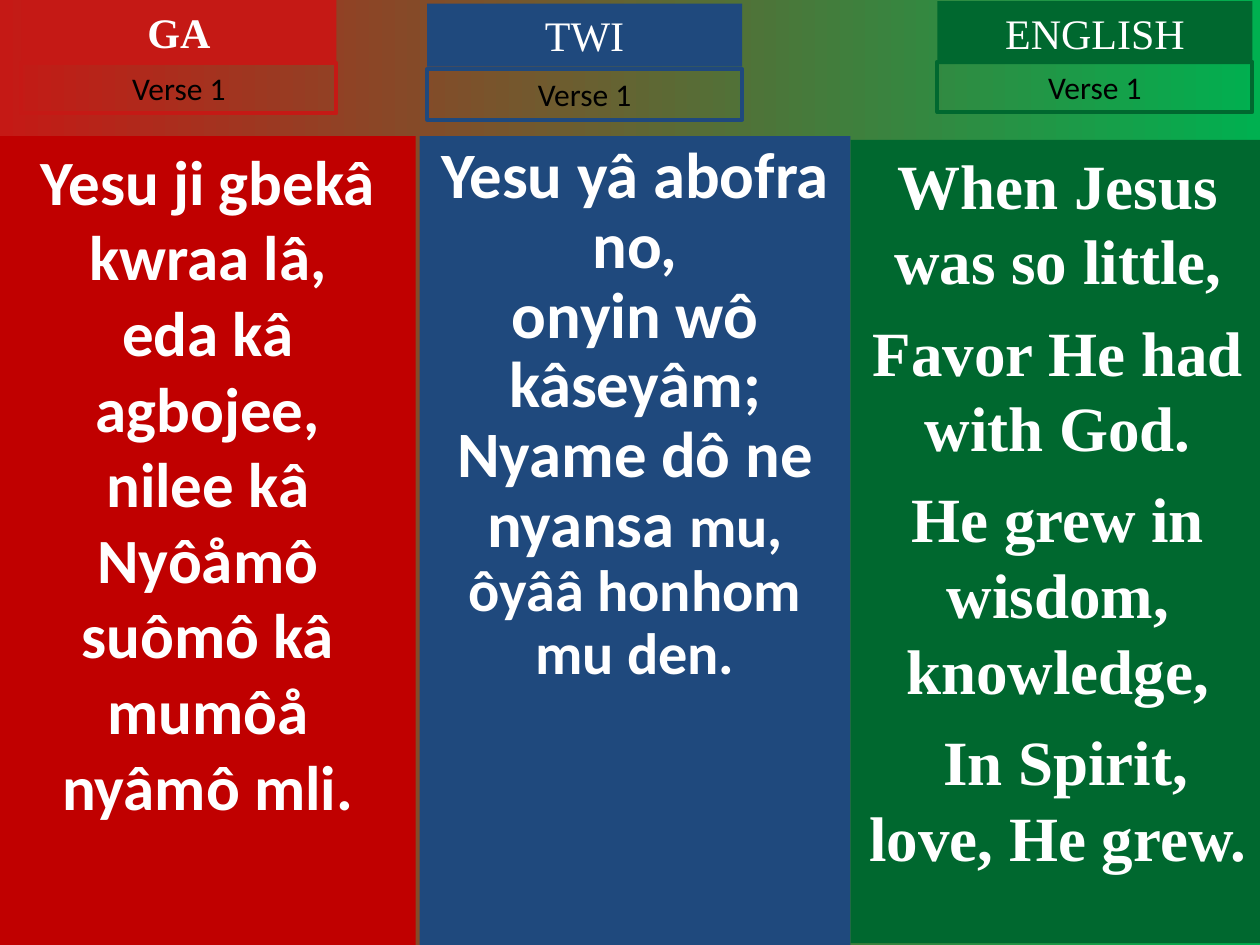
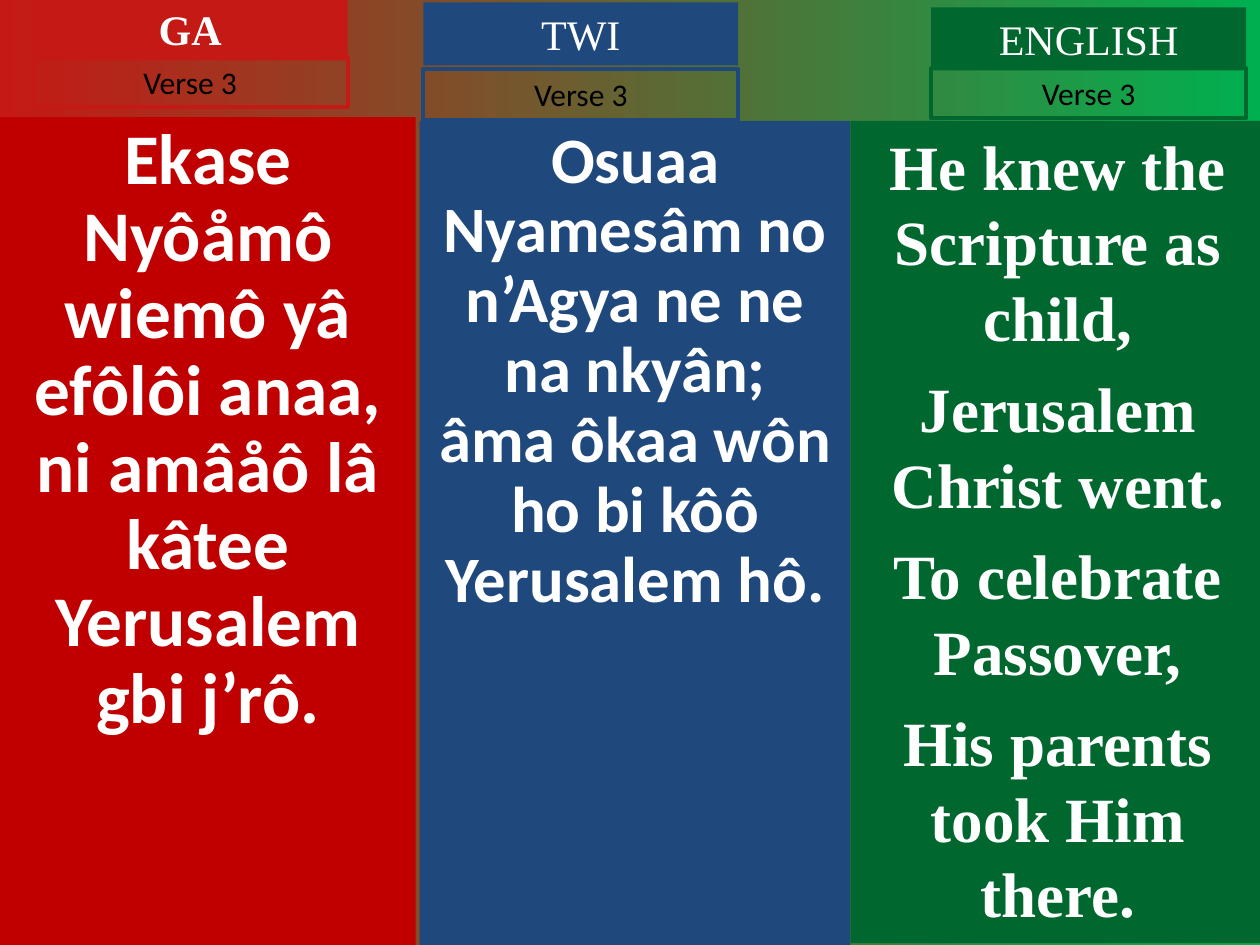
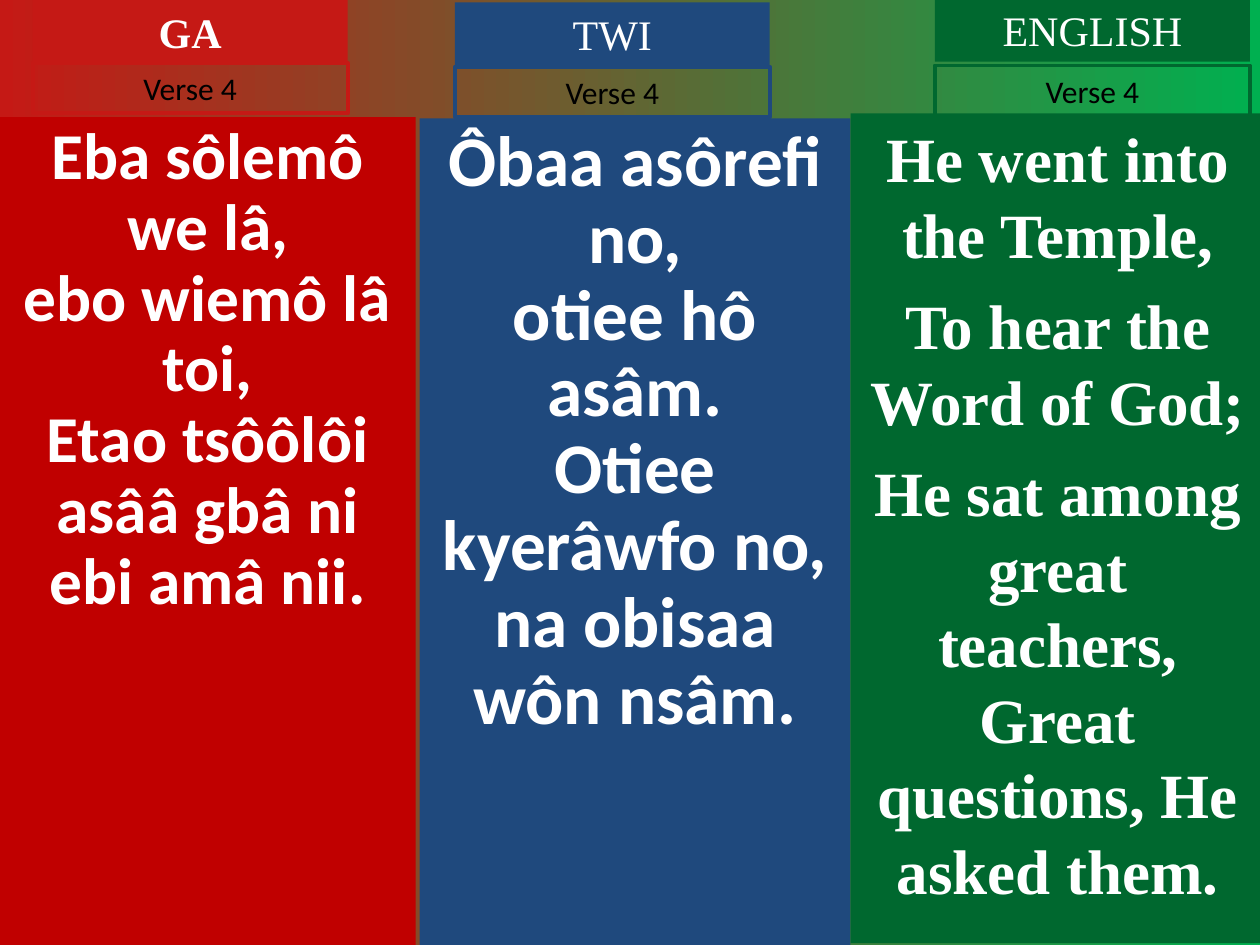
import pptx
import pptx.dml.color
import pptx.enum.shapes
import pptx.enum.text
import pptx.util

Pt = pptx.util.Pt

# Shared look
SLIDE_WIDTH, SLIDE_HEIGHT = 720, 540
HEADER_SIZE = (180, 36)
LABEL_SIZE = (180, 28.8)
WHITE, BLACK = "FFFFFF", "000000"
BACKGROUND = ("C51915", "00B050")
SANS, SERIF = "Calibri", "Times New Roman"

# One column per language
COLUMNS = [
    {"name": "GA", "left": 0, "width": 237.6, "bottom": 540, "fill": "C00000",
     "accent": "C51915", "font": SANS, "bold_header": True, "gap": 0},
    {"name": "TWI", "left": 239.76, "width": 246.24, "bottom": 540, "fill": "1F497D",
     "accent": "1F497D", "font": SANS, "bold_header": False, "gap": 0},
    {"name": "ENGLISH", "left": 486, "width": 236.88, "bottom": 539, "fill": "00682F",
     "accent": "00682F", "font": SERIF, "bold_header": False, "gap": 9},
]

# Per verse and column: header left, header top, label top, lyrics top,
# text size, line spacing, and lines; a line is a text or a list of (text, size)
VERSES = [
    ("Verse 1", [
        (12.24, 0, 36, 77.76, 36, 1, [
            "Yesu ji gbekâ kwraa lâ,",
            "eda kâ agbojee,",
            "nilee kâ Nyôåmô suômô kâ mumôå nyâmô mli."]),
        (244.08, 2.16, 39.6, 77.76, 37, 0.9, [
            "Yesu yâ abofra no,",
            "onyin wô kâseyâm;",
            [("Nyame dô ne nyansa ", 37), ("mu,", 33.3)],
            [("ôyââ honhom mu den.", 33.3)]]),
        (535.68, 0.72, 35.28, 79.92, 36, 1, [
            "When Jesus was so little,",
            "Favor He had with God.",
            "He grew in wisdom, knowledge,",
            " In Spirit, love, He grew."]),
    ]),
    ("Verse 3", [
        (18.72, -1.44, 32.4, 66.96, 40.7, 0.9, [
            "Ekase Nyôåmô wiemô yâ efôlôi anaa,",
            "ni amâåô lâ kâtee Yerusalem gbi j’rô."]),
        (241.92, 1.44, 39.6, 69.12, 37, 0.9, [
            "Osuaa Nyamesâm no n’Agya ne ne na nkyân;",
            "âma ôkaa wôn ho bi kôô Yerusalem hô."]),
        (532.08, 4.32, 38.88, 69.12, 36, 1, [
            "He knew the Scripture as child,",
            "Jerusalem Christ went.",
            "To celebrate Passover,",
            "His parents took Him there."]),
    ]),
    ("Verse 4", [
        (18.72, 0, 36, 66.96, 37.4, 0.9, [
            "Eba sôlemô we lâ,",
            "ebo wiemô lâ toi,",
            "Etao tsôôlôi asââ gbâ ni ebi amâ nii."]),
        (259.92, 1.44, 38.16, 67.68, 40.7, 0.9, [
            "Ôbaa asôrefi no,",
            "otiee hô asâm.",
            "Otiee kyerâwfo no,",
            "na obisaa wôn nsâm."]),
        (534.24, -0.72, 37.44, 64.8, 36, 1, [
            "He went into the Temple,",
            "To hear the Word of God;",
            "He sat among great teachers, Great questions, He asked them."]),
    ]),
]


def color(value):
    return pptx.dml.color.RGBColor.from_string(value)


def add_box(slide, left, top, width, height, fill=None, line=None):
    shape = slide.shapes.add_shape(pptx.enum.shapes.MSO_SHAPE.RECTANGLE,
                                   Pt(left), Pt(top), Pt(width), Pt(height))
    shape.shadow.inherit = False
    if fill:
        shape.fill.solid()
        shape.fill.fore_color.rgb = color(fill)
    else:
        shape.fill.background()
    if line:
        shape.line.color.rgb = color(line)
        shape.line.width = Pt(2.25)
    else:
        shape.line.fill.background()
    shape.text_frame.word_wrap = True
    shape.text_frame.vertical_anchor = pptx.enum.text.MSO_ANCHOR.TOP
    return shape


def write(shape, lines, font, size, text_color, bold=False, spacing=1, gap=0):
    frame = shape.text_frame
    for index, line in enumerate(lines):
        paragraph = frame.add_paragraph() if index else frame.paragraphs[0]
        paragraph.alignment = pptx.enum.text.PP_ALIGN.CENTER
        paragraph.line_spacing = spacing
        if index and gap:
            paragraph.space_before = Pt(gap)
        paragraph.font.name = font
        paragraph.font.size = Pt(size)
        paragraph.font.bold = bold
        paragraph.font.color.rgb = color(text_color)
        if isinstance(line, str):
            paragraph.add_run().text = line
        else:
            for text, run_size in line:
                run = paragraph.add_run()
                run.text = text
                run.font.size = Pt(run_size)


def add_column(slide, column, verse, part):
    header_left, header_top, label_top, top, size, spacing, lines = part
    lyrics = add_box(slide, column["left"], top, column["width"],
                     column["bottom"] - top, fill=column["fill"])
    write(lyrics, lines, column["font"], size, WHITE, True, spacing, column["gap"])
    header = add_box(slide, header_left, header_top, *HEADER_SIZE, fill=column["accent"])
    write(header, [column["name"]], SERIF, 24, WHITE, column["bold_header"])
    label = add_box(slide, header_left, label_top, *LABEL_SIZE, line=column["accent"])
    write(label, [verse], SANS, 18, BLACK)


def main():
    presentation = pptx.Presentation()
    presentation.slide_width = Pt(SLIDE_WIDTH)
    presentation.slide_height = Pt(SLIDE_HEIGHT)

    # Red to green background for all slides
    background = presentation.slide_master.background.fill
    background.gradient()
    background.gradient_angle = 0
    for stop, value in zip(background.gradient_stops, BACKGROUND):
        stop.color.rgb = color(value)

    blank = presentation.slide_layouts.get_by_name("Blank")
    for verse, parts in VERSES:
        slide = presentation.slides.add_slide(blank)
        for column, part in zip(COLUMNS, parts):
            add_column(slide, column, verse, part)
    presentation.save("out.pptx")


if __name__ == "__main__":
    main()
